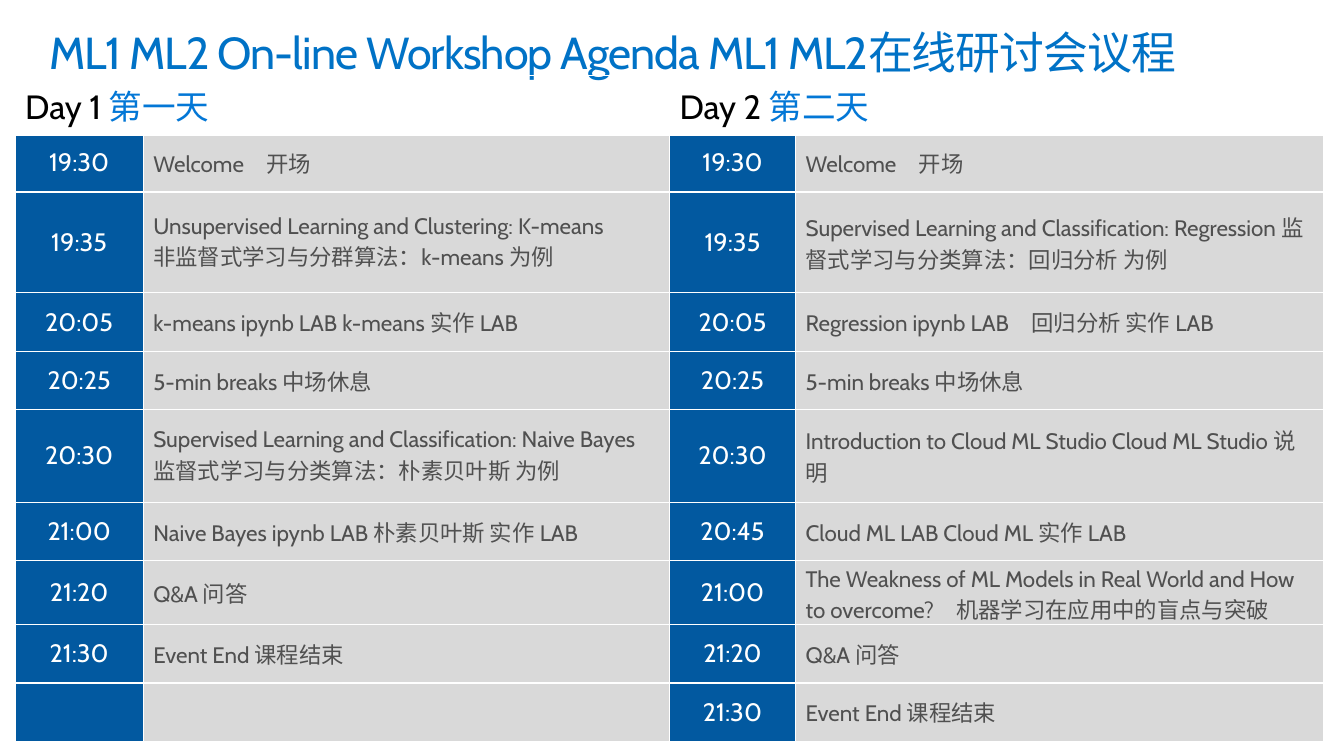
from pptx import Presentation
from pptx.dml.color import RGBColor
from pptx.enum.text import MSO_ANCHOR, PP_ALIGN
from pptx.oxml import parse_xml
from pptx.oxml.ns import nsdecls
from pptx.util import Cm, Pt

DAY_HEADINGS = [("Day 1 ", "第一天"), ("Day 2 ", "第二天")]
DAY_1 = [
    ("19:30", "Welcome　开场"),
    ("19:35", "Unsupervised Learning and Clustering: K-means\n非监督式学习与分群算法：k-means 为例"),
    ("20:05", "k-means ipynb LAB k-means 实作 LAB"),
    ("20:25", "5-min breaks 中场休息"),
    ("20:30", "Supervised Learning and Classification: Naive Bayes\n监督式学习与分类算法：朴素贝叶斯 为例"),
    ("21:00", "Naive Bayes ipynb LAB 朴素贝叶斯 实作 LAB"),
    ("21:20", "Q&A 问答"),
    ("21:30", "Event End 课程结束"),
    ("", ""),
]
DAY_2 = [
    ("19:30", "Welcome　开场"),
    ("19:35", "Supervised Learning and Classification: Regression 监督式学习与分类算法：回归分析 为例"),
    ("20:05", "Regression ipynb LAB　回归分析 实作 LAB"),
    ("20:25", "5-min breaks 中场休息"),
    ("20:30", "Introduction to Cloud ML Studio Cloud ML Studio 说明"),
    ("20:45", "Cloud ML LAB Cloud ML 实作 LAB"),
    ("21:00", "The Weakness of ML Models in Real World and How to overcome?　机器学习在应用中的盲点与突破"),
    ("21:20", "Q&A 问答"),
    ("21:30", "Event End 课程结束"),
]
COLUMN_WIDTHS = [3.23, 13.26, 3.18, 13.31]
ROW_HEIGHT = 1.47
TALL_ROWS = {2: 2.54, 5: 2.34}


def rgb(hex_color):
    return RGBColor.from_string(hex_color)


class AgendaSlide:
    FONT = "Cabin"
    WHITE, BLACK = "FFFFFF", "000000"
    TITLE_BLUE, DAY_BLUE, TIME_BLUE = "0072C6", "0377D6", "0259A0"
    TOPIC_TEXT, TOPIC_FILL = "505050", "D9D9D9"

    def __init__(self, slide):
        self.slide = slide

    def style_run(self, run, size, color):
        run.font.name = self.FONT
        run.font.size = Pt(size)
        run.font.color.rgb = rgb(color)

    def add_title(self, text):
        frame = self.slide.shapes.add_textbox(Cm(1), Cm(0.53), Cm(31.88), Cm(2.49)).text_frame
        frame.word_wrap = True
        frame.margin_left = frame.margin_right = Cm(0.25)
        frame.margin_top = frame.margin_bottom = Cm(0.25)
        frame.text = text
        paragraph = frame.paragraphs[0]
        paragraph.line_spacing = 0.9
        run = paragraph.runs[0]
        self.style_run(run, 32, self.TITLE_BLUE)
        run._r.get_or_add_rPr().set("spc", "-70")

    def add_borders(self, cell, bottom=1):
        properties = cell._tc.get_or_add_tcPr()
        for side, width in (("L", 1), ("R", 1), ("T", 1), ("B", bottom)):
            properties.append(parse_xml(
                f'<a:ln{side} {nsdecls("a")} w="{Pt(width)}"><a:solidFill>'
                f'<a:srgbClr val="{self.WHITE}"/></a:solidFill></a:ln{side}>'))

    def fill_heading(self, cell, day, chinese_day):
        self.add_borders(cell, bottom=3)
        cell.fill.background()
        cell.vertical_anchor = MSO_ANCHOR.MIDDLE
        paragraph = cell.text_frame.paragraphs[0]
        for text, color in ((day, self.BLACK), (chinese_day, self.DAY_BLUE)):
            run = paragraph.add_run()
            run.text = text
            self.style_run(run, 24, color)

    def fill_cell(self, cell, text, size, color, fill, align):
        self.add_borders(cell)
        cell.fill.solid()
        cell.fill.fore_color.rgb = rgb(fill)
        cell.vertical_anchor = MSO_ANCHOR.MIDDLE
        cell.text_frame.text = text
        for paragraph in cell.text_frame.paragraphs:
            paragraph.alignment = align
            for run in paragraph.runs:
                self.style_run(run, size, color)

    def add_agenda(self, headings, days):
        heights = [TALL_ROWS.get(row, ROW_HEIGHT) for row in range(len(days[0]) + 1)]
        agenda = self.slide.shapes.add_table(
            len(heights), len(COLUMN_WIDTHS), Cm(0.38), Cm(1.9),
            Cm(sum(COLUMN_WIDTHS)), Cm(sum(heights))).table
        agenda.first_row = agenda.horz_banding = False
        for column, width in zip(agenda.columns, COLUMN_WIDTHS):
            column.width = Cm(width)
        for row, height in zip(agenda.rows, heights):
            row.height = Cm(height)
        for index, (heading, sessions) in enumerate(zip(headings, days)):
            time_column, topic_column = 2 * index, 2 * index + 1
            heading_cell = agenda.cell(0, time_column)
            heading_cell.merge(agenda.cell(0, topic_column))
            self.fill_heading(heading_cell, *heading)
            for row, (time, topic) in enumerate(sessions, start=1):
                self.fill_cell(agenda.cell(row, time_column), time, 18,
                               self.WHITE, self.TIME_BLUE, PP_ALIGN.CENTER)
                self.fill_cell(agenda.cell(row, topic_column), topic, 16,
                               self.TOPIC_TEXT, self.TOPIC_FILL, PP_ALIGN.LEFT)


def main():
    presentation = Presentation()
    presentation.slide_width, presentation.slide_height = Cm(33.87), Cm(19.05)
    agenda_slide = AgendaSlide(presentation.slides.add_slide(presentation.slide_layouts[6]))
    agenda_slide.add_title("ML1 ML2 On-line Workshop Agenda ML1 ML2在线研讨会议程")
    agenda_slide.add_agenda(DAY_HEADINGS, [DAY_1, DAY_2])
    presentation.save("out.pptx")


if __name__ == "__main__":
    main()
